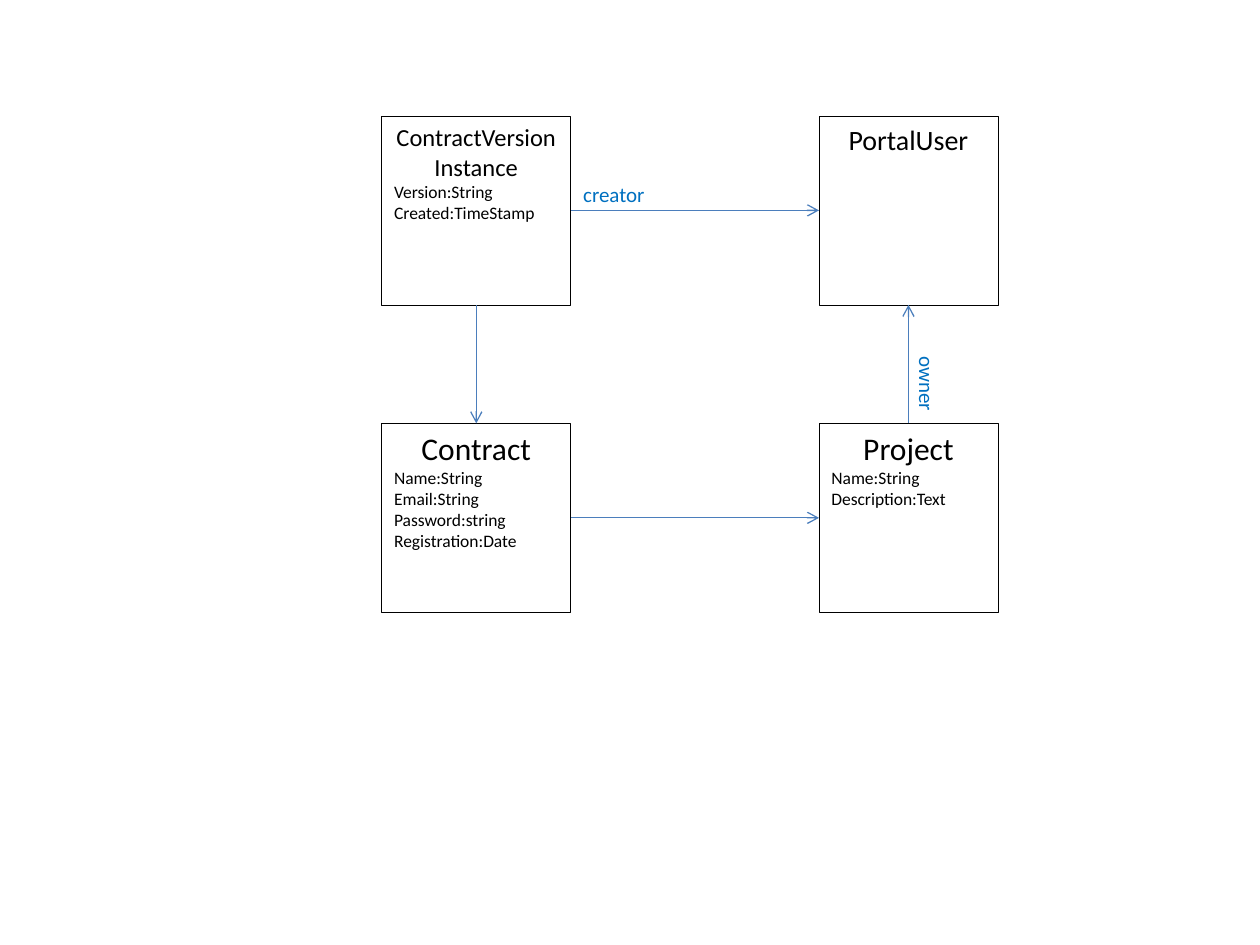
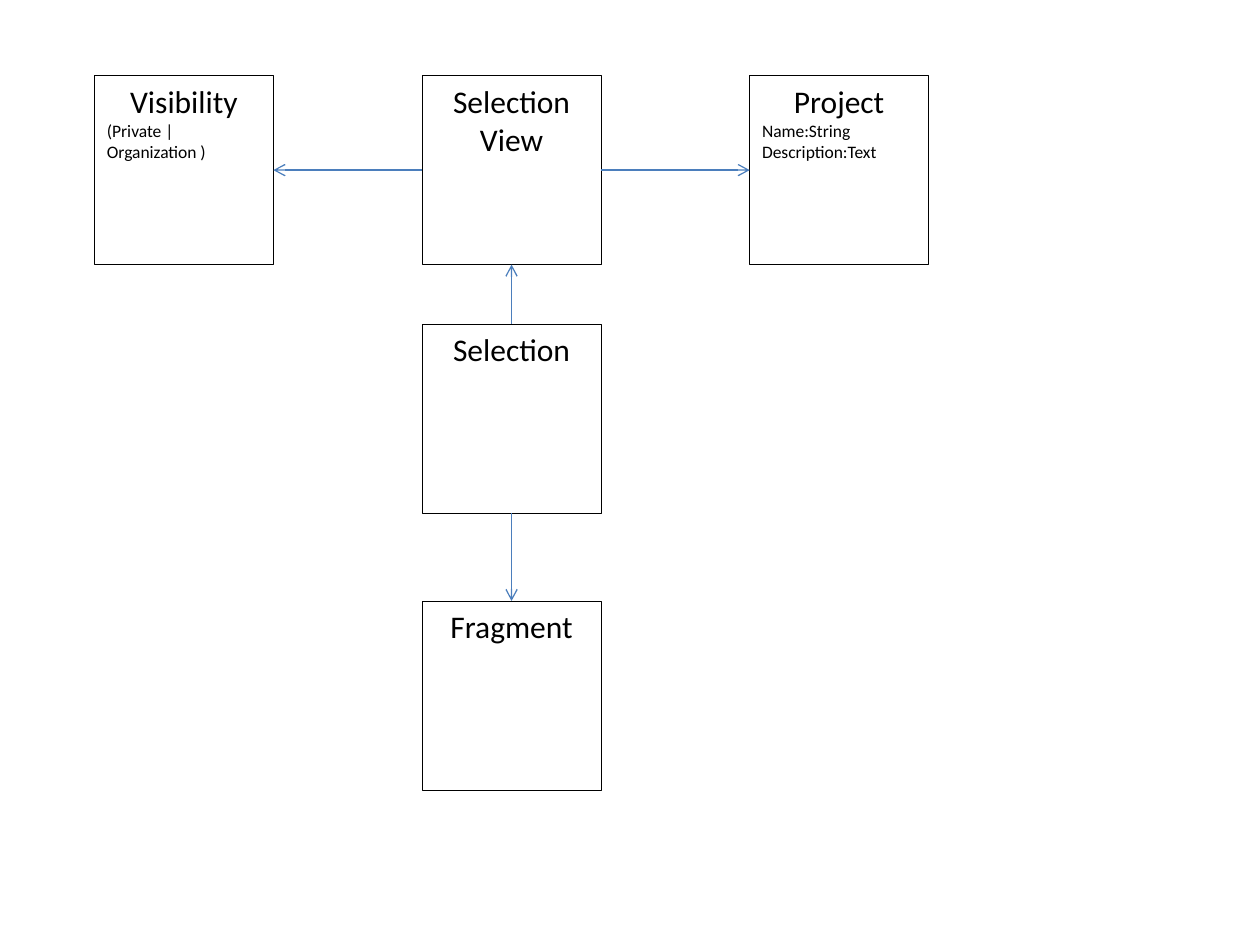
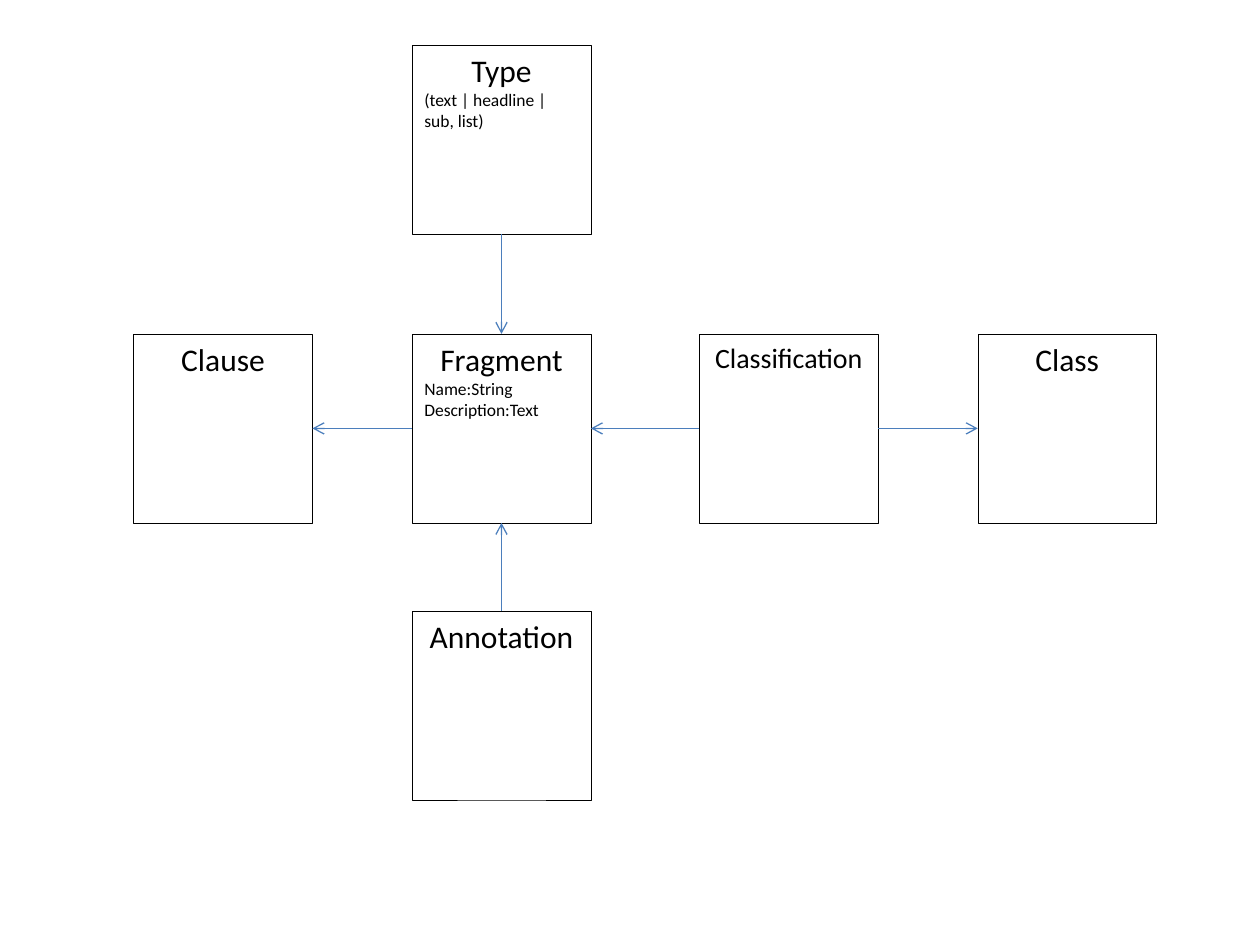
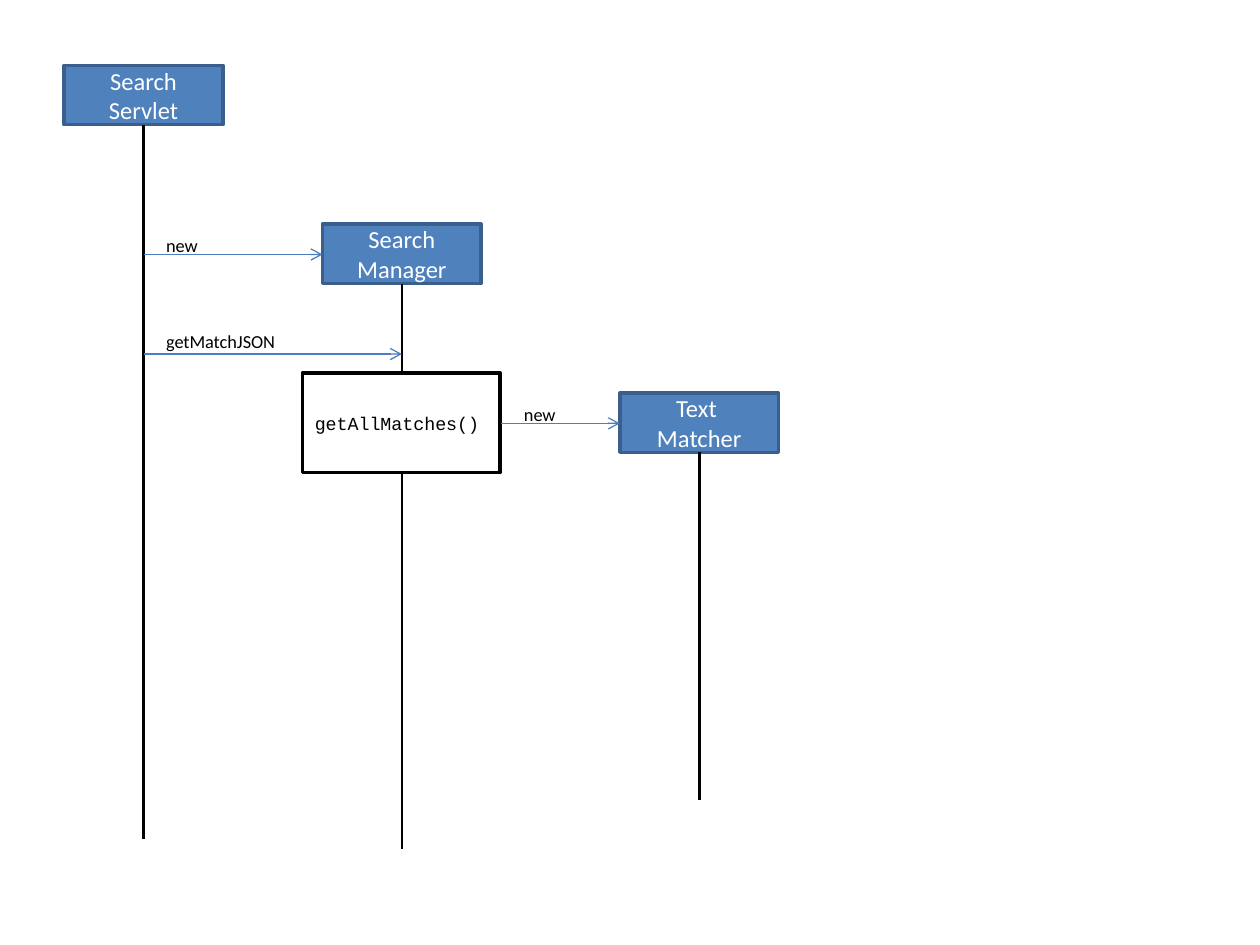
from dataclasses import dataclass

from lxml.etree import SubElement
from pptx import Presentation
from pptx.dml.color import RGBColor
from pptx.enum.shapes import MSO_CONNECTOR, MSO_SHAPE
from pptx.enum.text import MSO_ANCHOR, MSO_AUTO_SIZE, PP_ALIGN
from pptx.oxml.ns import qn
from pptx.util import Inches, Pt


@dataclass(frozen=True)
class Theme:
    """Colours, fonts and sizes shared by all slides."""
    black: str = "000000"
    white: str = "FFFFFF"
    arrow: str = "4B7EBC"
    role: str = "0070C0"
    actor: str = "4F81BD"
    actor_edge: str = "3A5F8C"
    font: str = "Calibri"
    code_font: str = "Courier New"
    title: float = 18
    long_title: float = 16
    actor_size: float = 14
    role_size: float = 12
    call: float = 10.5
    attribute: float = 10
    hairline: float = 0.25
    arrow_width: float = 0.75
    lifeline: float = 1.5
    border: float = 2


T = Theme()
BOX_W, BOX_H = 1.42, 1.5
ACTOR_W, ACTOR_H = 1.26, 0.47
TOP, LEFT, BOTTOM, RIGHT = range(4)


def rgb(color):
    """Turn a hex string into a colour."""
    return RGBColor.from_string(color)


def style(p, size, color=T.black, font=T.font, align=PP_ALIGN.LEFT):
    """Format a paragraph and its runs."""
    p.alignment = align
    for r in p.runs:
        r.font.size, r.font.name = Pt(size), font
        r.font.color.rgb = rgb(color)


def add_rect(s, x, y, w, h, lines, fill, edge, width):
    """Add a bordered rectangle holding one paragraph per line."""
    sp = s.shapes.add_shape(MSO_SHAPE.RECTANGLE, Inches(x), Inches(y), Inches(w), Inches(h))
    sp.shadow.inherit = False
    sp.fill.solid()
    sp.fill.fore_color.rgb = rgb(fill)
    sp.line.color.rgb = rgb(edge)
    sp.line.width = Pt(width)
    sp.text_frame.text = "\n".join(lines)
    sp.text_frame.word_wrap = True
    return sp


def add_class(s, x, y, name, attributes=(), size=T.title, w=BOX_W):
    """Add a class box: a centred name above its attributes."""
    sp = add_rect(s, x, y, w, BOX_H, [name, *attributes], T.white, T.black, T.hairline)
    sp.text_frame.vertical_anchor = MSO_ANCHOR.TOP
    title, *rest = sp.text_frame.paragraphs
    style(title, size, align=PP_ALIGN.CENTER)
    for p in rest:
        style(p, T.attribute)
    return sp


def add_line(s, start=(0, 0), end=(0, 0), color=T.black, width=T.lifeline):
    """Add a straight line without a shadow."""
    line = s.shapes.add_connector(MSO_CONNECTOR.STRAIGHT, *map(Inches, start + end))
    line.line.color.rgb = rgb(color)
    line.line.width = Pt(width)
    SubElement(line._element.spPr, qn("a:effectLst"))
    return line


def add_arrow(s, start=(0, 0), end=(0, 0)):
    """Add a line with an open arrowhead at its end."""
    line = add_line(s, start, end, T.arrow, T.arrow_width)
    SubElement(line.line._get_or_add_ln(), qn("a:tailEnd"), type="arrow")
    return line


def link(s, source, out_side, target, in_side):
    """Connect the sides of two boxes with an arrow."""
    arrow = add_arrow(s)
    arrow.begin_connect(source, out_side)
    arrow.end_connect(target, in_side)


def add_label(s, x, y, w, h, text, size=T.call, color=T.black, wrap=True, rotation=0):
    """Add a text label beside an arrow."""
    sp = s.shapes.add_textbox(Inches(x), Inches(y), Inches(w), Inches(h))
    sp.rotation = rotation
    tf = sp.text_frame
    tf.text = text
    tf.word_wrap = wrap
    tf.auto_size = MSO_AUTO_SIZE.SHAPE_TO_FIT_TEXT
    style(tf.paragraphs[0], size, color)


def add_actor(s, x, y, lines, life_end):
    """Add a sequence participant and its lifeline."""
    sp = add_rect(s, x, y, ACTOR_W, ACTOR_H, lines, T.actor, T.actor_edge, T.border)
    sp.text_frame.vertical_anchor = MSO_ANCHOR.MIDDLE
    for p in sp.text_frame.paragraphs:
        style(p, T.actor_size, T.white, align=PP_ALIGN.CENTER)
    center = x + ACTOR_W / 2
    add_line(s, (center, y + ACTOR_H), (center, life_end))


def contract_slide(s):
    """Draw the contract, project and user classes."""
    left, right, top, low = 3.03, 6.5, 0.92, 3.36
    version = add_class(s, left, top, "ContractVersion Instance",
                        ["Version:String", "Created:TimeStamp"], T.actor_size, 1.5)
    user = add_class(s, right, top, "PortalUser", size=T.long_title)
    contract = add_class(s, left, low, "Contract",
                         ["Name:String", "Email:String", "Password:string",
                          "Registration:Date"], w=1.5)
    project = add_class(s, right, low, "Project", ["Name:String", "Description:Text"])
    link(s, version, RIGHT, user, LEFT)
    link(s, version, BOTTOM, contract, TOP)
    link(s, contract, RIGHT, project, LEFT)
    link(s, project, TOP, user, BOTTOM)
    add_label(s, 4.53, 1.39, 0.69, 0.3, "creator", T.role_size, T.role, False)
    add_label(s, 7.04, 2.9, 0.64, 0.3, "owner", T.role_size, T.role, False, 90)


def selection_slide(s):
    """Draw the selection classes."""
    left, middle, right = (0.75 + 2.6 * i for i in range(3))
    top = 0.6
    visibility = add_class(s, left, top, "Visibility", ["(Private | Organization )"])
    view = add_class(s, middle, top, "Selection View")
    project = add_class(s, right, top, "Project", ["Name:String", "Description:Text"])
    selection = add_class(s, middle, 2.57, "Selection")
    fragment = add_class(s, middle, 4.77, "Fragment")
    link(s, view, LEFT, visibility, RIGHT)
    link(s, view, RIGHT, project, LEFT)
    link(s, selection, TOP, view, BOTTOM)
    link(s, selection, BOTTOM, fragment, TOP)


def fragment_slide(s):
    """Draw the fragment and the classes around it."""
    middle, row = 3.27, 2.65
    kind = add_class(s, middle, 0.36, "Type", ["(text | headline | ", "sub, list)"])
    clause = add_class(s, 1.06, row, "Clause")
    fragment = add_class(s, middle, row, "Fragment", ["Name:String", "Description:Text"])
    classification = add_class(s, 5.55, row, "Classification", size=T.long_title)
    category = add_class(s, 7.76, row, "Class")
    annotation = add_class(s, middle, 4.85, "Annotation")
    link(s, kind, BOTTOM, fragment, TOP)
    link(s, fragment, LEFT, clause, RIGHT)
    link(s, classification, LEFT, fragment, RIGHT)
    link(s, classification, RIGHT, category, LEFT)
    link(s, annotation, TOP, fragment, BOTTOM)


def search_slide(s):
    """Draw the search sequence diagram."""
    add_actor(s, 0.51, 0.52, ["Search", "Servlet"], 6.66)
    add_actor(s, 2.56, 1.78, ["Search", "Manager"], 6.74)
    add_actor(s, 4.92, 3.12, ["Text ", "Matcher"], 6.35)
    step = add_rect(s, 2.4, 2.96, 1.57, 0.79, ["getAllMatches()"], T.white, T.black, T.border)
    step.text_frame.vertical_anchor = MSO_ANCHOR.MIDDLE
    style(step.text_frame.paragraphs[0], T.call, font=T.code_font)
    for x, end, y in ((1.14, 2.56, 2.02), (1.14, 3.19, 2.81), (3.98, 4.92, 3.36)):
        add_arrow(s, (x, y), (end, y))
    add_label(s, 1.22, 1.81, 0.71, 0.29, "new")
    add_label(s, 1.22, 2.57, 1.1, 0.28, "getMatchJSON")
    add_label(s, 4.06, 3.15, 0.71, 0.29, "new")


def main():
    """Build and save the presentation."""
    prs = Presentation()
    prs.slide_width, prs.slide_height = Inches(10), Inches(7.5)
    blank = prs.slide_layouts[6]
    for draw in (contract_slide, selection_slide, fragment_slide, search_slide):
        draw(prs.slides.add_slide(blank))
    prs.save("out.pptx")


main()
